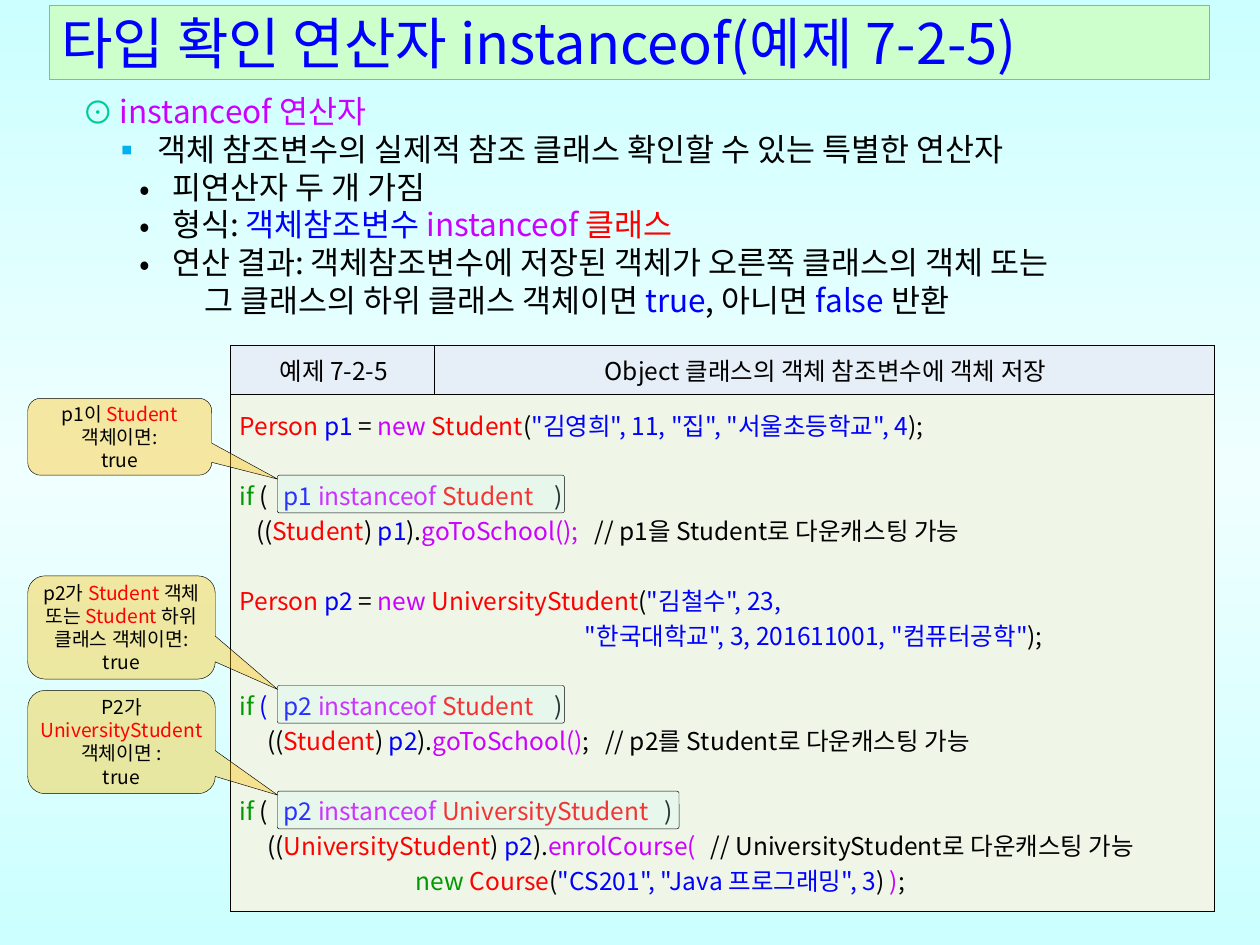
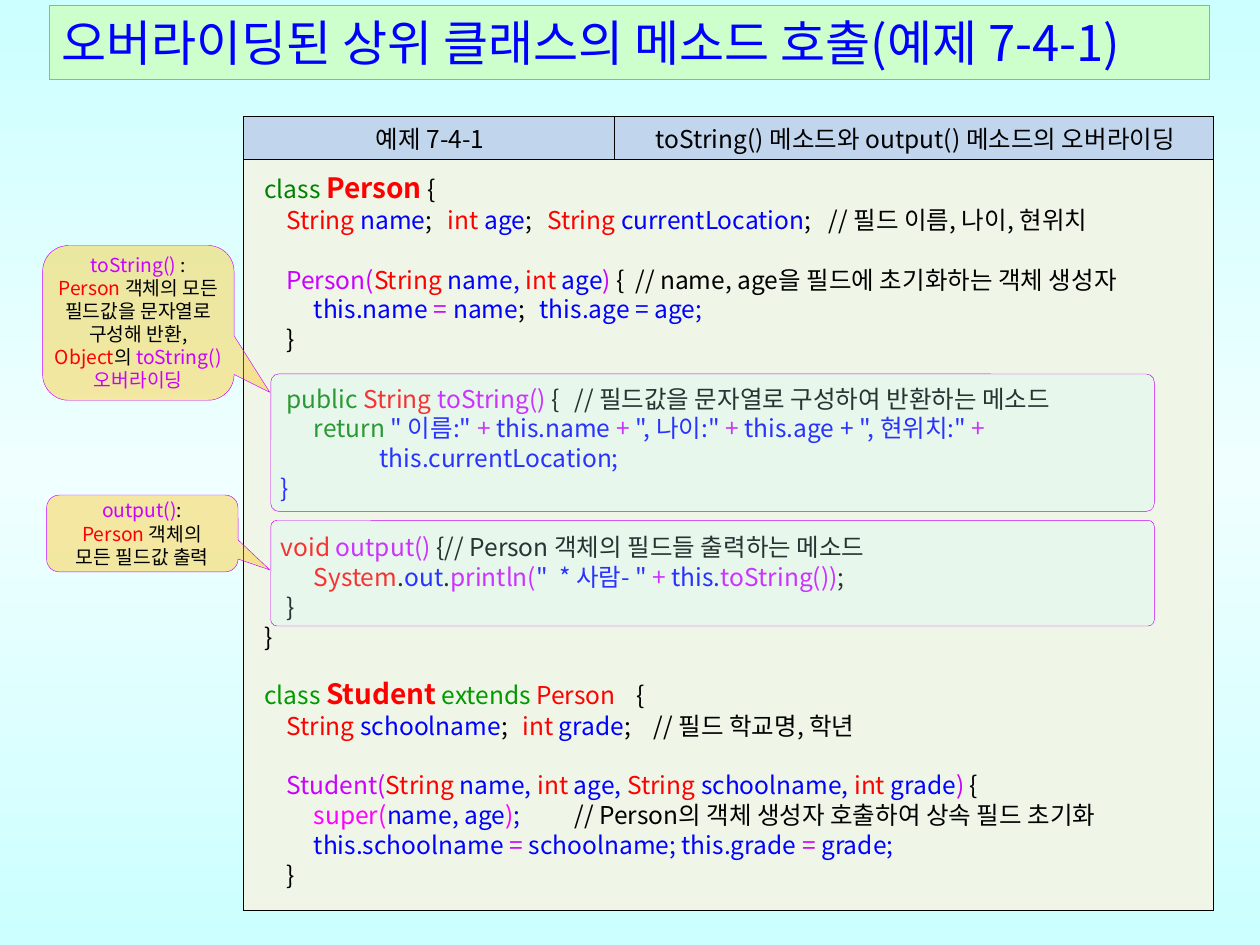
from dataclasses import dataclass

from lxml import etree
from pptx import Presentation
from pptx.dml.color import RGBColor
from pptx.enum.shapes import MSO_SHAPE
from pptx.enum.text import MSO_ANCHOR, PP_ALIGN
from pptx.oxml.ns import qn
from pptx.util import Cm, Pt

RECT = MSO_SHAPE.RECTANGLE
ROUNDED = MSO_SHAPE.ROUNDED_RECTANGLE
CALLOUT = MSO_SHAPE.ROUNDED_RECTANGULAR_CALLOUT
TOP, MIDDLE = MSO_ANCHOR.TOP, MSO_ANCHOR.MIDDLE
LEFT, CENTER = PP_ALIGN.LEFT, PP_ALIGN.CENTER

FONT = "Noto Sans CJK KR"
BLACK, MAGENTA = "000000", "CC00FF"
BACKGROUND = ((0, "CCFFFF"), (50, "F0FFFF"), (100, "CCFFFF"))
CODE_FILL = "EFF6E7"
# Each run is noted as "key:text"; runs are separated by "|". R is a bold class name.
INKS = {"k": BLACK, "r": "FF0000", "R": "FF0000", "b": "0000FF", "m": MAGENTA,
        "g": "009900", "d": "008000", "f": "FF00FF"}


@dataclass
class Line:
    runs: str
    tabs: tuple = ()
    indent: float = 0
    hang: float = 0
    bullet: str = ""
    bullet_color: str = BLACK
    gap: bool = False


def rgb(color):
    return RGBColor.from_string(color)


def add_xml(parent, tag, **attributes):
    return etree.SubElement(parent, qn(tag), {k: str(v) for k, v in attributes.items()})


class Deck:
    def __init__(self):
        self.prs = Presentation()
        self.prs.slide_width, self.prs.slide_height = Cm(25.4), Cm(19.05)
        self.slide = None

    def new_slide(self, title, size):
        self.slide = self.prs.slides.add_slide(self.prs.slide_layouts[6])
        fill = self.slide.background.fill
        fill.gradient()
        fill.gradient_angle = 90
        stops = next(self.slide.element.iter(qn("a:gsLst")))
        for stop in list(stops):
            stops.remove(stop)
        for position, color in BACKGROUND:
            add_xml(add_xml(stops, "a:gs", pos=position * 1000), "a:srgbClr", val=color)
        band = self.shape(RECT, (0.99, 0.1, 23.39, 1.5), "CCFFCC", "03EDE2")
        frame = band.text_frame
        frame.word_wrap = True
        frame.vertical_anchor = MIDDLE
        self.add_lines(frame, [Line("b:" + title)], size)

    def shape(self, kind, box, fill, line, opacity=100):
        shape = self.slide.shapes.add_shape(kind, *map(Cm, box))
        shape.shadow.inherit = False
        shape.fill.solid()
        shape.fill.fore_color.rgb = rgb(fill)
        if opacity < 100:
            color = shape.element.spPr.find(qn("a:solidFill"))[0]
            add_xml(color, "a:alpha", val=opacity * 1000)
        shape.line.color.rgb = rgb(line)
        shape.line.width = Pt(0.25)
        return shape

    def add_lines(self, frame, lines, size, align=LEFT, pitch=None):
        for number, line in enumerate(lines):
            paragraph = frame.paragraphs[0] if number == 0 else frame.add_paragraph()
            self.format_paragraph(paragraph, line)
            paragraph.alignment = align
            if pitch:
                paragraph.line_spacing = Pt(pitch)
            if line.gap:
                paragraph.space_before = Pt(pitch)
            for part in line.runs.split("|"):
                key, _, text = part.partition(":")
                run = paragraph.add_run()
                run.text = text
                font = run.font
                font.size = Pt(16 if key == "R" else size)
                font.bold = key == "R"
                font.color.rgb = rgb(INKS[key])
                font.name = FONT
                add_xml(run._r.get_or_add_rPr(), "a:ea", typeface=FONT)

    def format_paragraph(self, paragraph, line):
        properties = paragraph._p.get_or_add_pPr()
        if line.indent:
            properties.set("marL", str(Cm(line.indent)))
            properties.set("indent", str(-Cm(line.hang)))
        if line.bullet:
            add_xml(add_xml(properties, "a:buClr"), "a:srgbClr", val=line.bullet_color)
            add_xml(properties, "a:buFont", typeface=FONT)
            add_xml(properties, "a:buChar", char=line.bullet)
        if line.tabs:
            stops = add_xml(properties, "a:tabLst")
            for stop in line.tabs:
                add_xml(stops, "a:tab", pos=Cm(stop), algn="l")

    def outline(self, box, lines, size):
        frame = self.slide.shapes.add_textbox(*map(Cm, box)).text_frame
        frame.word_wrap = True
        self.add_lines(frame, lines, size)

    def code_table(self, origin, columns, rows, headings, heading_fill, code,
                   pitch, code_margin, border):
        size = (sum(columns), sum(rows))
        table = self.slide.shapes.add_table(2, 2, *map(Cm, origin + size)).table
        table.first_row = table.horz_banding = False
        for column, width in zip(table.columns, columns):
            column.width = Cm(width)
        for row, height in zip(table.rows, rows):
            row.height = Cm(height)
        for column, heading in enumerate(headings):
            cell = table.cell(0, column)
            self.style_cell(cell, heading_fill, 0.1, border)
            self.add_lines(cell.text_frame, [Line("k:" + heading)], 14, CENTER)
            self.style_cell(table.cell(1, column), CODE_FILL, code_margin, border)
        body = table.cell(1, 0)
        body.merge(table.cell(1, 1))
        self.add_lines(body.text_frame, code, 14, pitch=pitch)

    def style_cell(self, cell, fill, margin, border):
        cell.fill.solid()
        cell.fill.fore_color.rgb = rgb(fill)
        cell.vertical_anchor = MIDDLE
        cell.margin_left, cell.margin_right = Cm(margin), Cm(0.05)
        cell.margin_top = cell.margin_bottom = Cm(0.04)
        properties = cell._tc.get_or_add_tcPr()
        for position, side in enumerate("LRTB"):
            edge = add_xml(properties, "a:ln" + side, w=Pt(border))
            add_xml(add_xml(edge, "a:solidFill"), "a:srgbClr", val=BLACK)
            properties.insert(position, edge)

    def highlight(self, box, line=BLACK):
        self.shape(ROUNDED, box, "CCFFFF", line, 20).adjustments[0] = 0.058

    def callout(self, box, tip, texts, line=BLACK):
        note = self.shape(CALLOUT, box, "FFC000", line, 37)
        left, top, width, height = box
        note.adjustments[0] = (tip[0] - left) / width - 0.5
        note.adjustments[1] = (tip[1] - top) / height - 0.5
        frame = note.text_frame
        frame.word_wrap = True
        frame.vertical_anchor = TOP
        frame.margin_left = frame.margin_right = frame.margin_top = frame.margin_bottom = 0
        self.add_lines(frame, [Line(text) for text in texts], 11, CENTER)


def instanceof_slide(deck):
    deck.new_slide("타입 확인 연산자 instanceof(예제 7-2-5)", 32)

    # Explanation
    detail = {"indent": 1.8, "hang": 0.66, "bullet": "•"}
    deck.outline((1.42, 1.73, 23.06, 4.88), [
        Line("m:instanceof 연산자", indent=0.75, hang=0.75, bullet="⊙", bullet_color="00CC99"),
        Line("k:객체 참조변수의 실제적 참조 클래스 확인할 수 있는 특별한 연산자",
             indent=1.5, hang=0.93, bullet="▪", bullet_color="00B0F0"),
        Line("k:피연산자 두 개 가짐", **detail),
        Line("k:형식: |b:객체참조변수 |m:instanceof |r:클래스", **detail),
        Line("k:연산 결과: 객체참조변수에 저장된 객체가 오른쪽 클래스의 객체 또는", **detail),
        Line("k:그 클래스의 하위 클래스 객체이면 |b:true|k:, 아니면 |b:false|k: 반환", indent=2.45),
    ], 18)

    # Example code
    code = [
        Line('r:Person |b:p1|k: = |m:new |r:Student|k:(|b:"김영희", 11, "집", "서울초등학교", 4|k:);'),
        Line("g:if |k:(\t|b:p1 |m:instanceof |r:Student|k:\t)", (0.89, 6.35), gap=True),
        Line("k:   ((|r:Student|k:) |b:p1|k:).|m:goToSchool();|k:\t// p1을 Student로 다운캐스팅 가능",
             (7.16,)),
        Line('r:Person |b:p2|k: = |m:new |r:UniversityStudent|k:(|b:"김철수", 23,', gap=True),
        Line('b:"한국대학교", 3, 201611001, "컴퓨터공학"|k:);', indent=6.96),
        Line("g:if |b:(\tp2|m: instanceof |r:Student|k:\t)", (0.89, 6.35), gap=True),
        Line("k:     ((|r:Student|k:) |b:p2|k:).|m:goToSchool()|k:;\t// p2를 Student로 다운캐스팅 가능",
             (7.37,)),
        Line("g:if |k:(\t|b:p2 |m:instanceof |r:UniversityStudent|k:\t)", (0.89, 8.57), gap=True),
        Line("k:     ((|r:UniversityStudent|k:) |b:p2|k:).|m:enrolCourse(\t"
             "|k:// UniversityStudent로 다운캐스팅 가능", (9.5,)),
        Line('g:new |r:Course|k:(|b:"CS201", "Java 프로그래밍", 3|k:) |m:)|k:;', indent=3.55),
    ]
    deck.code_table((4.65, 6.96), (4.11, 15.72), (0.99, 10.41),
                    ("예제 7-2-5", "Object 클래스의 객체 참조변수에 객체 저장"),
                    "E6EEF7", code, 20, 0.18, 0.28)

    # Conditions and their notes
    conditions = [
        (9.58, 5.79, (0.56, 8.03, 3.71, 1.55), ["k:p1이 |r:Student", "k:객체이면:", "k:true"]),
        (13.82, 5.79, (0.56, 11.61, 3.78, 2.08),
         ["k:p2가 |r:Student |k:객체", "k:또는|r: Student|k: 하위", "k:클래스 객체이면:", "k:true"]),
        (15.95, 8.1, (0.56, 13.92, 3.78, 2.08),
         ["k:P2가", "r:UniversityStudent", "k:객체이면 :", "k:true"]),
    ]
    for top, width, note_box, texts in conditions:
        deck.highlight((5.59, top, width, 0.76))
        deck.callout(note_box, (5.6, top + 0.08), texts)


def overriding_slide(deck):
    deck.new_slide("오버라이딩된 상위 클래스의 메소드 호출(예제 7-4-1)", 28)

    # Example code
    code = [
        Line("d:class |R:Person|k: {"),
        Line("r:    String |b:name|k:;\t|r:int |b:age|k:;\t|r:String |b:currentLocation"
             "|k:;\t// 필드 이름, 나이, 현위치", (3.7, 5.7, 11.38)),
        Line("m:    Person(|r:String |b:name, |r:int |b:age|m:)|k: {\t"
             "// name, age을 필드에 초기화하는 객체 생성자", (7.48,), gap=True),
        Line("b:         this.name |m:=|b: name|k:;\t|b:this.age = age;", (5.55,)),
        Line("k:    }"),
        Line("d:    public|r: String |m:toString() |k:{\t// 필드값을 문자열로 구성하여 반환하는 메소드",
             (6.25,), gap=True),
        Line('d:         return |b:" 이름:" |m:+|b: this.name |m:+|b: ", 나이:" |m:+'
             '|b: this.age + ", 현위치:" |m:+'),
        Line("b:                     this.currentLocation;"),
        Line("b:   }"),
        Line("r:   void |m:output() |k:{// Person 객체의 필드들 출력하는 메소드", gap=True),
        Line('r:         System|k:.|b:out|k:.|m:println(|b:"  * 사람- " |m:+ |b:this.'
             '|m:toString())|k:;'),
        Line("k:    }"),
        Line("k:}"),
        Line("g:class |R:Student|g: extends |r:Person|k:\t{", (7.5,), gap=True),
        Line("r:    String |b:schoolname|k:;\t|r:int |b:grade|k:;\t// 필드 학교명, 학년", (5.2, 7.85)),
        Line("m:    Student(|r:String |b:name, |r:int|b: age, |r:String |b:schoolname, "
             "|r:int|b: grade|m:)|k: {", gap=True),
        Line("f:         super(|b:name, age|f:)|b:;\t|k:// Person의 객체 생성자 호출하여 상속 필드 초기화",
             (6.25,)),
        Line("b:         this.schoolname |m:=|b: schoolname; this.grade |m:=|b: grade;"),
        Line("k:    }"),
    ]
    deck.code_table((4.9, 2.34), (7.49, 12.07), (0.86, 15.14),
                    ("예제 7-4-1", "toString() 메소드와 output() 메소드의 오버라이딩"),
                    "C1D6ED", code, 17, 0.43, 0.25)

    # Overridden methods and their notes
    methods = [
        (10.49, 2.13, (0.94, 9.98, 3.86, 1.55), 11.49,
         ["m:output()|k::", "r:Person |k:객체의", "k:모든 필드값 출력"]),
        (7.54, 2.77, (0.86, 4.95, 3.86, 3.12), 7.91,
         ["m:toString() |k::", "r:Person |k:객체의 모든 필드값을 문자열로 구성해 반환,",
          "r:Object|k:의 |m:toString()", "m:오버라이딩"]),
    ]
    for top, height, note_box, tip_top, texts in methods:
        deck.highlight((5.46, top, 17.81, height), MAGENTA)
        deck.callout(note_box, (5.44, tip_top), texts, MAGENTA)


def main():
    deck = Deck()
    instanceof_slide(deck)
    overriding_slide(deck)
    deck.prs.save("out.pptx")


if __name__ == "__main__":
    main()
